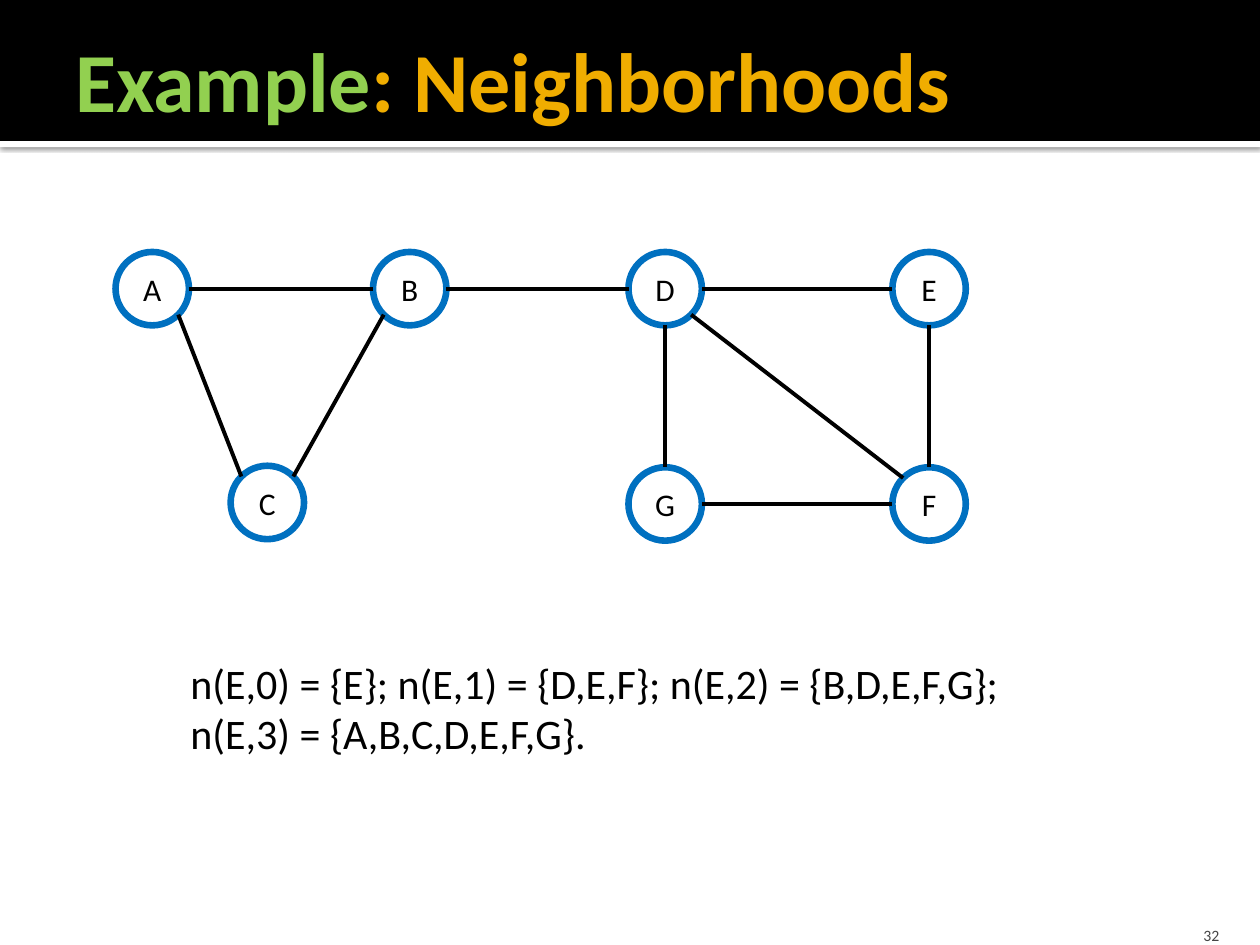
from lxml import etree
from pptx import Presentation, util as u
from pptx.dml.color import RGBColor
from pptx.enum import shapes, text
from pptx.oxml.ns import qn

BLACK = RGBColor(0x00, 0x00, 0x00)
WHITE = RGBColor(0xFF, 0xFF, 0xFF)
GREEN = RGBColor(0x92, 0xD0, 0x50)
GOLD = RGBColor(0xF0, 0xAD, 0x00)
BLUE = RGBColor(0x00, 0x70, 0xC0)
GREY = RGBColor(0x45, 0x45, 0x45)
FONT = "Calibri"

# Content: lengths in cm, nodes by their centres
TITLE = [("Example", GREEN), (": Neighborhoods", GOLD)]
SETS = ["n(E,0) = {E}; n(E,1) = {D,E,F}; n(E,2) = {B,D,E,F,G};",
        "n(E,3) = {A,B,C,D,E,F,G}."]
PAGE = "32"
WIDE, HIGH = 25.4, 19.05
BAND, RULE = 2.84, 0.13
SIZE = 1.48
TOP, LOW = 5.82, 10.16
NODES = {"A": (3.07, TOP), "B": (8.26, TOP), "C": (5.39, LOW - 0.03),
         "D": (13.41, TOP), "E": (18.73, TOP),
         "F": (18.73, LOW), "G": (13.41, LOW)}
EDGES = ["AB", "AC", "CB", "BD", "DE", "DG", "EF", "GF", "DF"]

deck = Presentation()
deck.slide_width, deck.slide_height = u.Cm(WIDE), u.Cm(HIGH)
slide = deck.slides.add_slide(deck.slide_layouts[6])


def shape(kind, x, y, w, h, fill=None, line=None):
    item = slide.shapes.add_shape(kind, u.Cm(x), u.Cm(y), u.Cm(w), u.Cm(h))
    item.shadow.inherit = False
    if fill is None:
        item.fill.background()
    else:
        item.fill.solid()
        item.fill.fore_color.rgb = fill
    if line is None:
        item.line.fill.background()
    else:
        item.line.color.rgb = line
        item.line.width = u.Pt(3.78)
    return item


def write(item, rows, size, align=text.PP_ALIGN.LEFT, bold=False,
          anchor=text.MSO_ANCHOR.TOP, inset=(0.25, 0.13, 0.25, 0.13), wrap=True):
    frame = item.text_frame
    frame.word_wrap = wrap
    frame.vertical_anchor = anchor
    (frame.margin_left, frame.margin_top,
     frame.margin_right, frame.margin_bottom) = [u.Cm(m) for m in inset]
    for i, row in enumerate(rows):
        para = frame.add_paragraph() if i else frame.paragraphs[0]
        para.alignment = align
        for words, color in row:
            run = para.add_run()
            run.text = words
            run.font.name, run.font.size = FONT, u.Pt(size)
            run.font.bold = bold
            run.font.color.rgb = color


def box(x, y, w, h):
    return slide.shapes.add_textbox(u.Cm(x), u.Cm(y), u.Cm(w), u.Cm(h))


def port(start, end):
    """Point on the rim of start, in the one of eight directions facing end."""
    (x, y), (a, b) = NODES[start], NODES[end]
    dx, dy = [(d > 0.1) - (d < -0.1) for d in (a - x, b - y)]
    reach = SIZE / 2 / (dx * dx + dy * dy) ** 0.5
    return u.Cm(x + dx * reach), u.Cm(y + dy * reach)


# Header band and its shadowed rule
rule = shape(shapes.MSO_SHAPE.RECTANGLE, 0, BAND, WIDE, RULE, WHITE)
glow = rule._element.spPr.find(qn("a:effectLst"))
cast = etree.SubElement(glow, qn("a:outerShdw"), blurRad=str(u.Pt(2.5)),
                        dist=str(u.Pt(0.8)), dir="5400000", rotWithShape="0")
tint = etree.SubElement(cast, qn("a:srgbClr"), val=str(BLACK))
etree.SubElement(tint, qn("a:alpha"), val="60000")
shape(shapes.MSO_SHAPE.RECTANGLE, 0, 0, WIDE, BAND, BLACK)
write(box(1.27, 0.43, 24.13, 2.34), [TITLE], 48, bold=True,
      anchor=text.MSO_ANCHOR.MIDDLE, inset=(0.25, 0.13, 0.13, 0.13))

# Page number
write(box(22.8, 18.29, 2.03, 0.76), [[(PAGE, GREY)]], 9,
      text.PP_ALIGN.RIGHT, anchor=text.MSO_ANCHOR.BOTTOM,
      inset=(0.25, 0.13, 0.25, 0))

# Graph nodes
for name, (x, y) in NODES.items():
    node = shape(shapes.MSO_SHAPE.OVAL, x - SIZE / 2, y - SIZE / 2,
                 SIZE, SIZE, line=BLUE)
    write(node, [[(name, BLACK)]], 18, text.PP_ALIGN.CENTER,
          anchor=text.MSO_ANCHOR.MIDDLE, inset=(0, 0, 0, 0), wrap=False)

# Graph edges
for start, end in EDGES:
    edge = slide.shapes.add_connector(
        shapes.MSO_CONNECTOR.STRAIGHT, *port(start, end), *port(end, start))
    edge.line.color.rgb = BLACK
    edge.line.width = u.Pt(2.25)
    etree.SubElement(edge._element.spPr, qn("a:effectLst"))

# Neighborhood sets
write(box(3.59, 13.12, 17.42, 2.31), [[(row, BLACK)] for row in SETS], 24,
      wrap=False)

deck.save("out.pptx")
